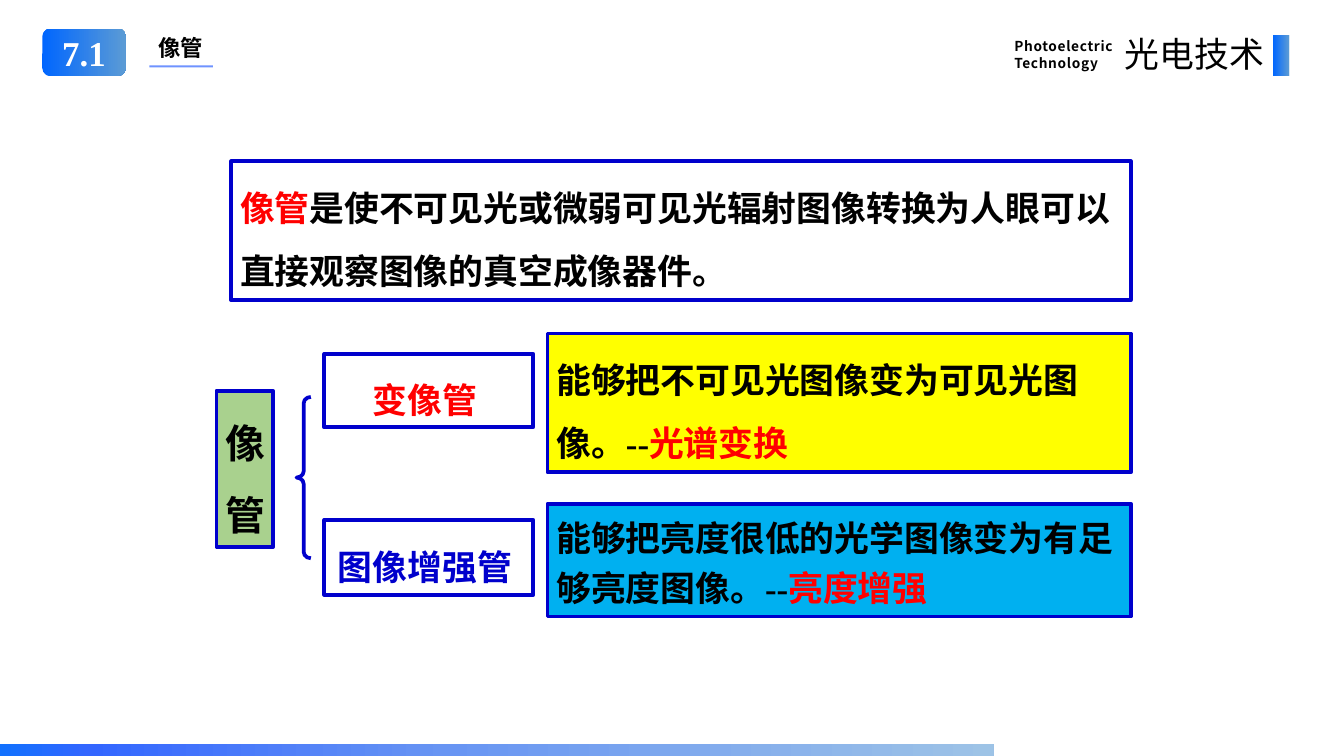
from dataclasses import dataclass

from lxml import etree
from pptx import Presentation
from pptx.dml.color import RGBColor
from pptx.enum.shapes import MSO_CONNECTOR, MSO_SHAPE
from pptx.enum.text import MSO_ANCHOR, MSO_AUTO_SIZE, PP_ALIGN
from pptx.oxml.ns import qn
from pptx.util import Pt

RECT = MSO_SHAPE.RECTANGLE
ROUND = MSO_SHAPE.ROUNDED_RECTANGLE
BRACE = MSO_SHAPE.LEFT_BRACE
LEFT, MID, RIGHT = PP_ALIGN.LEFT, PP_ALIGN.CENTER, PP_ALIGN.RIGHT


@dataclass(frozen=True)
class Theme:
    sans: str = "Noto Sans CJK SC"
    serif: str = "Times New Roman"
    plain: str = "Arial"
    black: str = "000000"
    white: str = "FFFFFF"
    red: str = "FF0000"
    navy: str = "0000CC"
    blue: str = "3366FF"
    green: str = "A9D18E"
    yellow: str = "FFFF00"
    sky: str = "00B0F0"
    badge: tuple = ((0, "0066FF"), (100, "5B9BD5"))
    strip: tuple = ((0, "1271FE"), (9, "3366FF"), (45, "6895F3"), (100, "9DC3E6"))
    tiny: float = 11
    small: float = 18
    body: float = 28
    large: float = 32
    edge: float = 3


T = Theme()


def color(code):
    return RGBColor.from_string(code)


def write(shape, paras, size, font=T.serif, align=LEFT, space=None,
          bold=True, track=0, inset=None):
    """Fill a shape with paragraphs, each a list of (text, colour) runs."""
    frame = shape.text_frame
    frame.word_wrap = True
    frame.auto_size = MSO_AUTO_SIZE.NONE
    frame.vertical_anchor = MSO_ANCHOR.TOP
    if inset is not None:
        frame.margin_left = frame.margin_right = Pt(inset)
        frame.margin_top = frame.margin_bottom = Pt(inset)
    for i, runs in enumerate(paras):
        para = frame.add_paragraph() if i else frame.paragraphs[0]
        para.alignment = align
        para.line_spacing = space
        for text, ink in runs:
            run = para.add_run()
            run.text = text
            run.font.size = Pt(size)
            run.font.name = font
            run.font.bold = bold
            run.font.color.rgb = color(ink)
            if track:
                run.font._element.set("spc", str(round(track * 100)))


def add_text(slide, box, paras, size, **style):
    shape = slide.shapes.add_textbox(*map(Pt, box))
    write(shape, paras, size, **style)


def add_shape(slide, kind, box, fill=None, line=None):
    shape = slide.shapes.add_shape(kind, *map(Pt, box))
    shape.shadow.inherit = False
    if fill:
        shape.fill.solid()
        shape.fill.fore_color.rgb = color(fill)
    else:
        shape.fill.background()
    if line:
        shape.line.color.rgb = color(line)
        shape.line.width = Pt(T.edge)
    else:
        shape.line.fill.background()
    return shape


def add_fade(slide, kind, box, stops):
    """Add a shape with a left-to-right gradient."""
    shape = add_shape(slide, kind, box)
    shape.fill.gradient()
    shape.fill.gradient_angle = 0
    stop_list = shape._element.spPr.find(".//" + qn("a:gsLst"))
    for old in list(stop_list):
        stop_list.remove(old)
    for spot, code in stops:
        stop = etree.SubElement(stop_list, qn("a:gs"), pos=str(spot * 1000))
        etree.SubElement(stop, qn("a:srgbClr"), val=code)
    return shape


def add_panel(slide, box, runs, fill=None, size=T.body, space=1.5, **style):
    shape = add_shape(slide, RECT, box, fill, T.navy)
    write(shape, [runs], size, space=space, **style)


def add_rule(slide, x, y, width):
    """Add the translucent line under the title."""
    rule = slide.shapes.add_connector(
        MSO_CONNECTOR.STRAIGHT, Pt(x), Pt(y), Pt(x + width), Pt(y))
    rule.line.color.rgb = color(T.blue)
    rule.line.width = Pt(1.5)
    props = rule._element.spPr
    ink = props.find(".//" + qn("a:srgbClr"))
    etree.SubElement(ink, qn("a:alpha"), val="70000")
    etree.SubElement(props, qn("a:effectLst"))


def add_header(slide):
    add_text(slide, (808, 26, 95, 35),
             [[("Photoelectric", T.black)], [("Technology", T.black)]],
             T.tiny, font=T.sans, space=Pt(14), track=0.5)
    add_fade(slide, RECT, (1023, 28.5, 13, 32.5), T.badge)
    badge = add_fade(slide, ROUND, (34, 23, 67, 38), T.badge)
    write(badge, [[("7.1", T.white)]], T.body, align=MID)
    badge.text_frame.vertical_anchor = MSO_ANCHOR.MIDDLE
    add_text(slide, (886, 23, 137, 41), [[("光电技术", T.black)]], T.body,
             font=T.sans, align=RIGHT, bold=False, track=0.2)
    add_text(slide, (120, 24, 59, 29), [[("像管", T.black)]], T.small,
             font=T.sans)
    add_rule(slide, 120, 53.3, 51)


def add_tree(slide):
    add_panel(slide, (174, 314, 45.4, 125.5), [("像管", T.black)], T.green,
              T.large, font=T.plain)
    brace = add_shape(slide, BRACE, (238.3, 319, 11.5, 129.6), line=T.navy)
    brace.adjustments[0] = 0.443
    add_panel(slide, (260.6, 284.4, 168, 59), [("变像管 ", T.red)],
              align=MID, inset=2.9)
    add_panel(slide, (260.6, 417.8, 168, 60.2), [("图像增强管 ", T.navy)],
              align=MID)
    add_panel(slide, (440, 268, 468.7, 111.6),
              [("能够把不可见光图像变为可见光图像。--", T.black),
               ("光谱变换", T.red)], T.yellow)
    add_panel(slide, (440, 404.8, 468.7, 90.7),
              [("能够把亮度很低的光学图像变为有足够亮度图像。--", T.black),
               ("亮度增强", T.red)], T.sky, space=1.2)


def main():
    deck = Presentation()
    deck.slide_width, deck.slide_height = Pt(1080), Pt(607.5)
    slide = deck.slides.add_slide(deck.slide_layouts[6])
    add_header(slide)
    add_fade(slide, RECT, (0, 597.5, 798.5, 10), T.strip)
    add_panel(slide, (185.8, 129.6, 722.9, 111.6),
              [("像管", T.red),
               ("是使不可见光或微弱可见光辐射图像转换为人眼可以直接观察图像的真空成像器件。",
                T.black)])
    add_tree(slide)
    deck.save("out.pptx")


if __name__ == "__main__":
    main()
